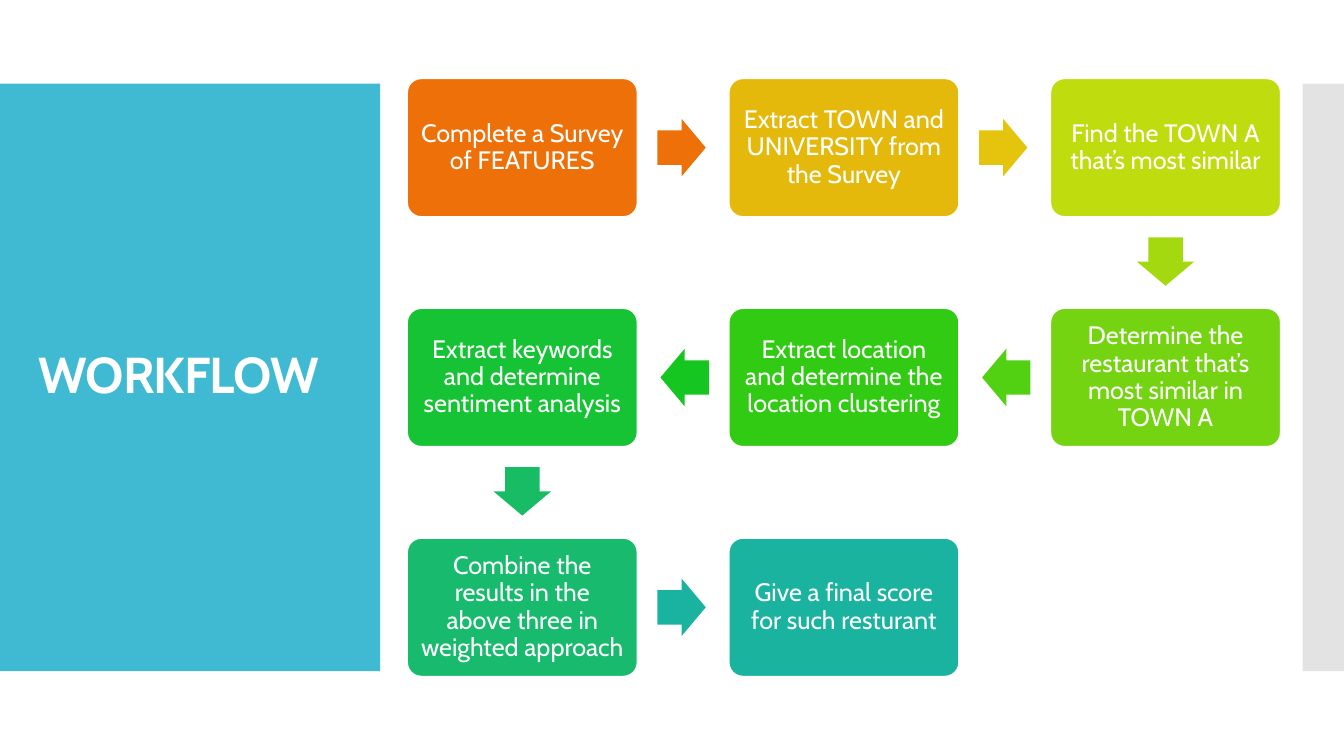
"""Build the workflow slide: a title panel and eight steps along a winding path."""
from lxml.etree import SubElement
from pptx import Presentation
from pptx.dml.color import RGBColor
from pptx.enum.shapes import MSO_SHAPE
from pptx.enum.text import MSO_ANCHOR, MSO_AUTO_SIZE, PP_ALIGN
from pptx.oxml.ns import qn
from pptx.util import Inches, Pt

WHITE = RGBColor(0xFF, 0xFF, 0xFF)
BLUE = RGBColor(0x40, 0xBA, 0xD2)
GREY = RGBColor(0xC8, 0xC8, 0xC8)

LEFT, TOP = 4.04, 0.78
BOX_W, BOX_H = 2.28, 1.37
STEP_X, STEP_Y = 3.19, 2.28
ARROW_W, ARROW_H = 0.48, 0.57

# column, row, box colour, text, arrow direction, arrow colour
STEPS = [
    (0, 0, "EE7008", "Complete a Survey of FEATURES", "right", "EE7008"),
    (1, 0, "E5B90B", "Extract TOWN and UNIVERSITY from the Survey", "right", "E4C40C"),
    (2, 0, "BFDC0E", "Find the TOWN A that’s most similar", "down", "A5D90F"),
    (2, 1, "75D411", "Determine the restaurant that’s most similar in TOWN A", "left", "52D012"),
    (1, 1, "32CB13", "Extract location and determine the location clustering", "left", "15C620"),
    (0, 1, "16C335", "Extract keywords and determine sentiment analysis", "down", "18BC64"),
    (0, 2, "18BB6D", "Combine the results in the above three in weighted approach", "right", "1AB39F"),
    (1, 2, "1AB39F", "Give a final score for such resturant", None, None),
]
ARROWS = {"right": (2.48, 0.4, 0), "down": (0.9, 1.53, 90), "left": (-0.68, 0.4, 180)}


def add_filled(kind, x, y, w, h, color):
    sp = s.shapes.add_shape(kind, Inches(x), Inches(y), Inches(w), Inches(h))
    sp.shadow.inherit = False
    sp.fill.solid()
    sp.fill.fore_color.rgb = color
    sp.line.fill.background()
    return sp


def style_text(tf, size, align):
    tf.word_wrap = True
    tf.auto_size = MSO_AUTO_SIZE.NONE
    tf.vertical_anchor = MSO_ANCHOR.MIDDLE
    p = tf.paragraphs[0]
    p.alignment = align
    p.line_spacing = 0.9
    p.font.name = "Cabin"
    p.font.size = Pt(size)
    p.font.color.rgb = WHITE
    return p


prs = Presentation()
prs.slide_width, prs.slide_height = Inches(13.33), Inches(7.5)
s = prs.slides.add_slide(prs.slide_layouts[5])

title = s.shapes.title
panel = add_filled(MSO_SHAPE.RECTANGLE, 0, 0.83, 3.77, 5.83, BLUE)
strip = add_filled(MSO_SHAPE.RECTANGLE, 12.92, 0.83, 0.41, 5.83, GREY)
SubElement(strip.element.spPr.find(".//" + qn("a:srgbClr")), qn("a:alpha"), val="50000")
for sp in (panel, strip):
    title.element.addprevious(sp.element)

title.left, title.top = Inches(0.28), Inches(1.23)
title.width, title.height = Inches(3.22), Inches(5.03)
title.text_frame.text = "WORKFLOW"
p = style_text(title.text_frame, 36, PP_ALIGN.LEFT)
p.font.bold = True
p.runs[0].font._element.set("spc", "-60")

for col, row, color, text, direction, arrow_color in STEPS:
    x, y = LEFT + col * STEP_X, TOP + row * STEP_Y
    box = add_filled(MSO_SHAPE.ROUNDED_RECTANGLE, x, y, BOX_W, BOX_H, RGBColor.from_string(color))
    box.adjustments[0] = 0.1
    box.line.color.rgb = WHITE
    box.line.width = Pt(0.85)
    tf = box.text_frame
    tf.text = text
    tf.margin_left = tf.margin_right = tf.margin_top = tf.margin_bottom = Inches(0.09)
    style_text(tf, 18, PP_ALIGN.CENTER)
    if direction:
        dx, dy, angle = ARROWS[direction]
        arrow = add_filled(MSO_SHAPE.RIGHT_ARROW, x + dx, y + dy, ARROW_W, ARROW_H,
                           RGBColor.from_string(arrow_color))
        arrow.adjustments[0] = 0.6
        arrow.rotation = angle

prs.save("out.pptx")
